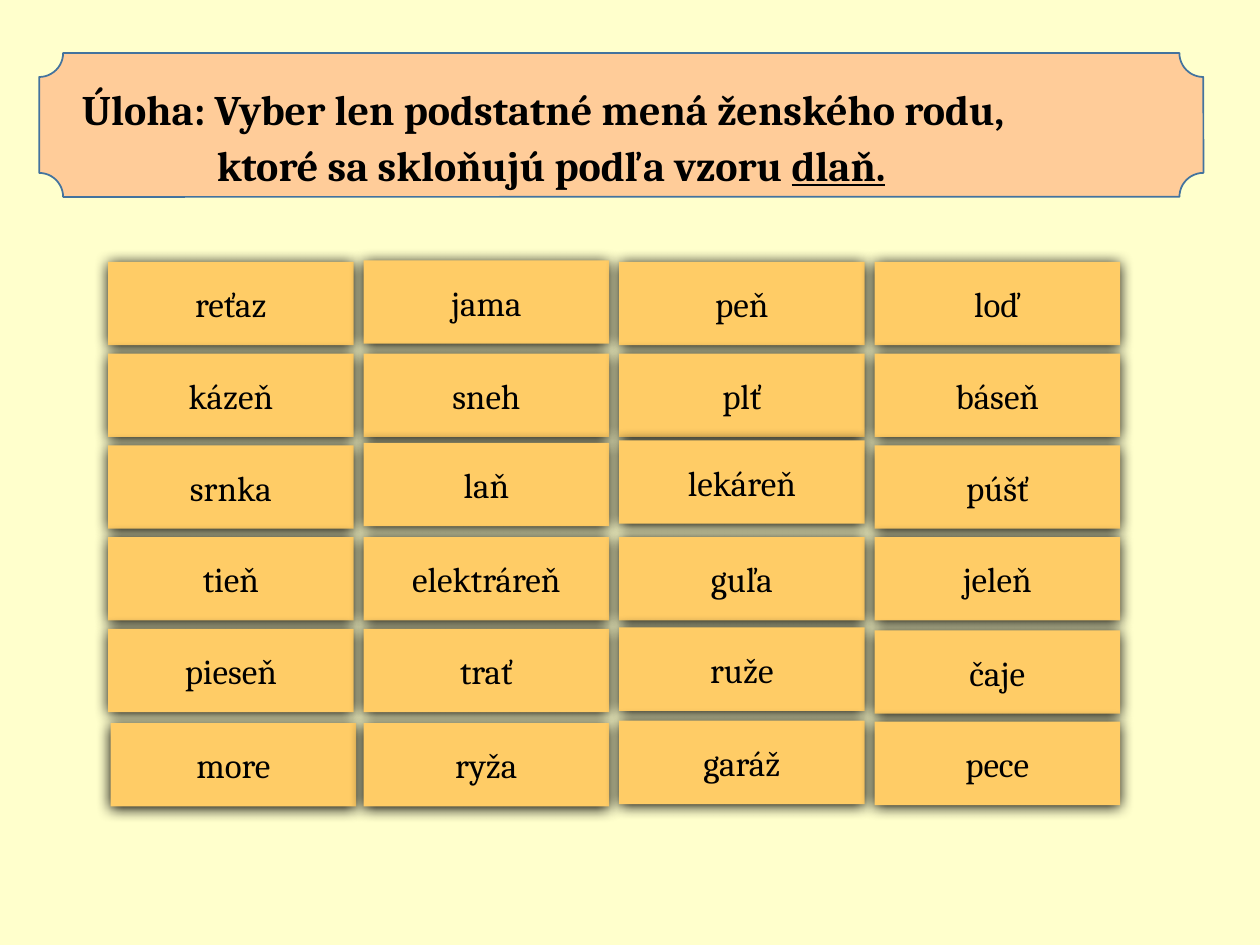
from dataclasses import dataclass

from lxml.etree import SubElement
from pptx import Presentation
from pptx.dml.color import RGBColor
from pptx.enum.shapes import MSO_SHAPE
from pptx.enum.text import MSO_ANCHOR, MSO_AUTO_SIZE, PP_ALIGN
from pptx.oxml.ns import qn
from pptx.slide import Slide
from pptx.util import Cm, Pt

FONT = "Cambria"
BACKGROUND = RGBColor(0xFF, 0xFF, 0xCC)
BANNER_FILL = RGBColor(0xFF, 0xCC, 0x99)
BANNER_LINE = RGBColor(0x43, 0x73, 0x9E)
CARD_FILL = RGBColor(0xFF, 0xCC, 0x66)
BLACK = RGBColor(0, 0, 0)

# Card grid, in centimetres
GRID_LEFT, GRID_TOP = 2.18, 5.28
COLUMN_STEP, ROW_STEP = 5.15, 1.85
CARD_WIDTH, CARD_HEIGHT = 4.95, 1.68


@dataclass
class Card:
    """A word card, with its small shift from the grid in centimetres."""
    word: str
    shift_down: float = 0
    shift_right: float = 0


CARD_ROWS = [
    [Card("reťaz"), Card("jama", -0.03), Card("peň"), Card("loď")],
    [Card("kázeň"), Card("sneh"), Card("plť"), Card("báseň")],
    [Card("srnka"), Card("laň", -0.05), Card("lekáreň", -0.1), Card("púšť")],
    [Card("tieň"), Card("elektráreň"), Card("guľa"), Card("jeleň")],
    [Card("pieseň"), Card("trať"), Card("ruže", -0.03), Card("čaje", 0.03)],
    [Card("more", 0.05, 0.05), Card("ryža", 0.05), Card("garáž"), Card("pece", 0.02)],
]


def add_soft_shadow(shape) -> None:
    shape.shadow.inherit = False
    effects = shape._element.spPr.find(qn("a:effectLst"))
    shadow = SubElement(effects, qn("a:outerShdw"), blurRad=str(Pt(8.5)),
                        dist=str(Pt(1)), dir="5400000", algn="ctr", rotWithShape="0")
    SubElement(shadow, qn("a:srgbClr"), val=str(BLACK))


def add_card(slide: Slide, card: Card, row: int, column: int) -> None:
    left = GRID_LEFT + column * COLUMN_STEP + card.shift_right
    top = GRID_TOP + row * ROW_STEP + card.shift_down
    shape = slide.shapes.add_shape(MSO_SHAPE.RECTANGLE, Cm(left), Cm(top),
                                   Cm(CARD_WIDTH), Cm(CARD_HEIGHT))
    shape.fill.solid()
    shape.fill.fore_color.rgb = CARD_FILL
    shape.line.fill.background()
    add_soft_shadow(shape)
    text_frame = shape.text_frame
    text_frame.text = card.word
    text_frame.vertical_anchor = MSO_ANCHOR.MIDDLE
    paragraph = text_frame.paragraphs[0]
    paragraph.alignment = PP_ALIGN.CENTER
    font = paragraph.runs[0].font
    font.name, font.size = FONT, Pt(20)
    font.color.rgb = BLACK


def add_banner(slide: Slide) -> None:
    banner = slide.shapes.add_shape(MSO_SHAPE.PLAQUE, Cm(0.79), Cm(1.07),
                                    Cm(23.47), Cm(2.9))
    banner.shadow.inherit = False
    banner.fill.solid()
    banner.fill.fore_color.rgb = BANNER_FILL
    banner.line.color.rgb = BANNER_LINE
    banner.line.width = Pt(1)
    # The banner lies behind the title
    slide.shapes.title._element.addprevious(banner._element)


def fill_title(slide: Slide) -> None:
    title = slide.shapes.title
    title.left, title.top, title.width, title.height = Cm(1.65), Cm(1.68), Cm(21.7), Cm(2.2)
    text_frame = title.text_frame
    text_frame.word_wrap = True
    text_frame.auto_size = MSO_AUTO_SIZE.NONE
    text_frame.vertical_anchor = MSO_ANCHOR.TOP
    text_frame.margin_left = text_frame.margin_right = 0
    text_frame.margin_top = text_frame.margin_bottom = 0
    text_frame.text = "Úloha: Vyber len podstatné mená ženského rodu,"
    second = text_frame.add_paragraph()
    second.text = "ktoré sa skloňujú podľa vzoru "
    second.add_run().text = "dlaň."
    second.space_before = Pt(3)
    # The second line starts below the word after "Úloha:"
    second._p.get_or_add_pPr().set("marL", str(Cm(2.72)))
    for paragraph in text_frame.paragraphs:
        paragraph.alignment = PP_ALIGN.LEFT
        for run in paragraph.runs:
            run.font.name, run.font.size, run.font.bold = FONT, Pt(24), True
            run.font.color.rgb = BLACK
    second.runs[-1].font.underline = True


def main() -> None:
    presentation = Presentation()
    presentation.slide_width, presentation.slide_height = Cm(25.4), Cm(19.05)
    slide = presentation.slides.add_slide(presentation.slide_layouts.get_by_name("Title Only"))
    slide.background.fill.solid()
    slide.background.fill.fore_color.rgb = BACKGROUND

    # Task
    add_banner(slide)
    fill_title(slide)

    # Word cards
    for row, cards in enumerate(CARD_ROWS):
        for column, card in enumerate(cards):
            add_card(slide, card, row, column)

    presentation.save("out.pptx")


if __name__ == "__main__":
    main()
